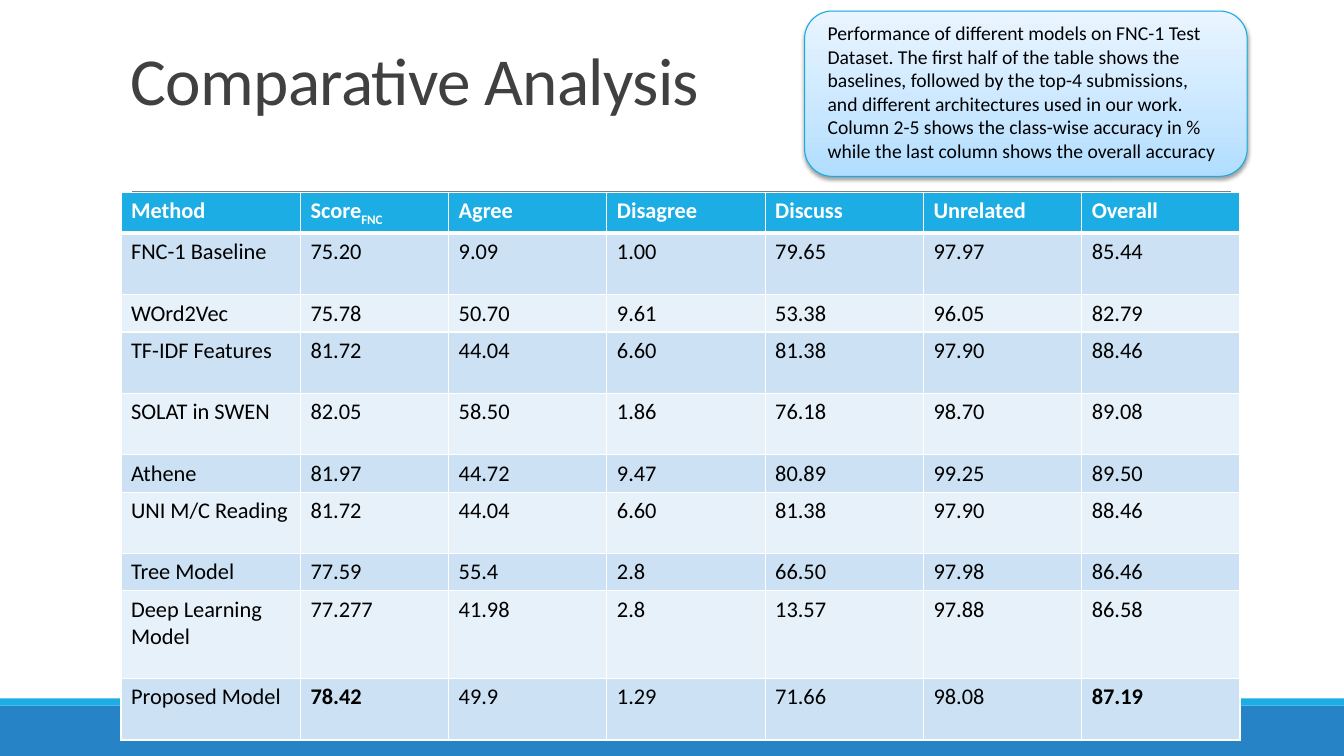
from lxml import etree
from pptx import Presentation
from pptx.dml.color import RGBColor
from pptx.enum.shapes import MSO_CONNECTOR, MSO_SHAPE
from pptx.enum.text import MSO_ANCHOR
from pptx.oxml import parse_xml
from pptx.oxml.ns import nsdecls, qn
from pptx.util import Inches, Pt

RECTANGLE = MSO_SHAPE.RECTANGLE
ROUNDED = MSO_SHAPE.ROUNDED_RECTANGLE
STRAIGHT = MSO_CONNECTOR.STRAIGHT
BOTTOM = MSO_ANCHOR.BOTTOM
TOP = MSO_ANCHOR.TOP

FONT = "Calibri"
COLORS = {
    "footer": "2683C6",
    "accent": "1CADE4",
    "rule": "808080",
    "callout_line": "16ABE4",
    "title": "404040",
    "text": "000000",
    "white": "FFFFFF",
    "band_dark": "CCE2F4",
    "band_light": "E7F1F9",
}
CALLOUT_STOPS = [(0, "B0DDFF"), (35, "C7E6FF"), (100, "EAF5FF")]

CALLOUT_TEXT = (
    "Performance of diﬀerent models on FNC-1 Test Dataset. The ﬁrst half of the "
    "table shows the baselines, followed by the top-4 submissions, and diﬀerent "
    "architectures used in our work. Column 2-5 shows the class-wise accuracy in % "
    "while the last column shows the overall accuracy"
)
HEADER = ["Method", "Score", "Agree", "Disagree", "Discuss", "Unrelated", "Overall"]
SHORT, TALL = 0.37, 0.61
RESULTS = [
    (TALL, "FNC-1 Baseline", "75.20", "9.09", "1.00", "79.65", "97.97", "85.44"),
    (SHORT, "WOrd2Vec", "75.78", "50.70", "9.61", "53.38", "96.05", "82.79"),
    (TALL, "TF-IDF Features", "81.72", "44.04", "6.60", "81.38", "97.90", "88.46"),
    (TALL, "SOLAT in SWEN", "82.05", "58.50", "1.86", "76.18", "98.70", "89.08"),
    (SHORT, "Athene", "81.97", "44.72", "9.47", "80.89", "99.25", "89.50"),
    (TALL, "UNI M/C Reading", "81.72", "44.04", "6.60", "81.38", "97.90", "88.46"),
    (SHORT, "Tree Model", "77.59", "55.4", "2.8", "66.50", "97.98", "86.46"),
    (0.87, "Deep Learning Model", "77.277", "41.98", "2.8", "13.57", "97.88", "86.58"),
    (TALL, "Proposed Model", "78.42", "49.9", "1.29", "71.66", "98.08", "87.19"),
]
HEADER_HEIGHT = 0.39
COLUMN_WIDTHS = [1.78, 1.47] + [1.57] * 5
BEST_SCORES = {"78.42", "87.19"}


def rgb(name):
    return RGBColor.from_string(COLORS[name])


def style_font(font, size, color, bold=False):
    font.name = FONT
    font.size = Pt(size)
    font.bold = bold
    font.color.rgb = rgb(color)


def add_bar(page, top, height, color):
    bar = page.shapes.add_shape(
        RECTANGLE, 0, Inches(top), Inches(13.33), Inches(height))
    bar.shadow.inherit = False
    bar.fill.solid()
    bar.fill.fore_color.rgb = rgb(color)
    bar.line.fill.background()


def add_rule(page, left, right, top):
    rule = page.shapes.add_connector(
        STRAIGHT, Inches(left), Inches(top), Inches(right), Inches(top))
    rule.line.color.rgb = rgb("rule")
    rule.line.width = Pt(0.5)
    etree.SubElement(rule._element.spPr, qn("a:effectLst"))


def add_callout(page, left, top, width, height):
    """Rounded panel with a three-stop gradient and a soft shadow below."""
    panel = page.shapes.add_shape(
        ROUNDED, Inches(left), Inches(top), Inches(width), Inches(height))
    panel.fill.gradient()
    panel.fill.gradient_angle = 90
    panel.line.color.rgb = rgb("callout_line")
    panel.line.width = Pt(0.75)
    panel.shadow.inherit = False

    properties = panel._element.spPr
    stops = properties.find(".//" + qn("a:gsLst"))
    for stop in list(stops):
        stops.remove(stop)
    for position, color in CALLOUT_STOPS:
        stop = etree.SubElement(stops, qn("a:gs"), pos=str(position * 1000))
        etree.SubElement(stop, qn("a:srgbClr"), val=color)
    properties.find(qn("a:effectLst")).append(parse_xml(
        f'<a:outerShdw {nsdecls("a")} blurRad="{Pt(3.1)}" dist="{Pt(1.6)}" '
        'dir="5400000" rotWithShape="0"><a:srgbClr val="000000">'
        '<a:alpha val="38000"/></a:srgbClr></a:outerShdw>'))


def add_text(page, text, left, top, width, height, size, color, anchor=TOP):
    box = page.shapes.add_textbox(
        Inches(left), Inches(top), Inches(width), Inches(height))
    frame = box.text_frame
    frame.word_wrap = True
    frame.vertical_anchor = anchor
    para = frame.paragraphs[0]
    para.text = text
    style_font(para.font, size, color)
    return para


def add_title(page):
    para = add_text(page, "Comparative Analysis", 1.2, 0.34, 11, 0.89,
                    48, "title", BOTTOM)
    para.line_spacing = 0.85
    para.runs[0]._r.get_or_add_rPr().set("spc", "-50")


def set_borders(cell, bottom_width):
    properties = cell._tc.get_or_add_tcPr()
    for side in "LRTB":
        width = bottom_width if side == "B" else 0.96
        properties.append(parse_xml(
            f'<a:ln{side} {nsdecls("a")} w="{Pt(width)}"><a:solidFill>'
            f'<a:srgbClr val="{COLORS["white"]}"/></a:solidFill></a:ln{side}>'))


def fill_cell(cell, text, fill, color, bold, bottom_width=0.96):
    set_borders(cell, bottom_width)
    cell.fill.solid()
    cell.fill.fore_color.rgb = rgb(fill)
    para = cell.text_frame.paragraphs[0]
    para.text = text
    style_font(para.font, 16, color, bold)


def add_results_table(page):
    heights = [HEADER_HEIGHT] + [result[0] for result in RESULTS]
    table = page.shapes.add_table(
        len(heights), len(HEADER), Inches(1.2), Inches(1.91),
        Inches(sum(COLUMN_WIDTHS)), Inches(sum(heights))).table
    for column, width in zip(table.columns, COLUMN_WIDTHS):
        column.width = Inches(width)
    for row, height in zip(table.rows, heights):
        row.height = Inches(height)

    for column, heading in enumerate(HEADER):
        fill_cell(table.cell(0, column), heading, "accent", "white", True, 3)
    subscript = table.cell(0, 1).text_frame.paragraphs[0].add_run()
    subscript.text = "FNC"
    subscript._r.get_or_add_rPr().set("baseline", "-25000")

    for row, (_, *values) in enumerate(RESULTS, start=1):
        band = "band_dark" if row % 2 else "band_light"
        for column, value in enumerate(values):
            fill_cell(table.cell(row, column), value, band, "text",
                      value in BEST_SCORES)


def main():
    deck = Presentation()
    deck.slide_width = Inches(13.33)
    deck.slide_height = Inches(7.5)
    page = deck.slides.add_slide(deck.slide_layouts[6])

    add_bar(page, 7, 0.5, "footer")
    add_bar(page, 6.93, 0.07, "accent")
    add_rule(page, 1.31, 12.21, 1.9)
    add_callout(page, 7.98, 0.11, 4.39, 1.64)
    add_title(page)
    add_results_table(page)
    add_text(page, CALLOUT_TEXT, 8.11, 0.16, 4.09, 1.96, 14, "text")
    deck.save("out.pptx")


if __name__ == "__main__":
    main()
